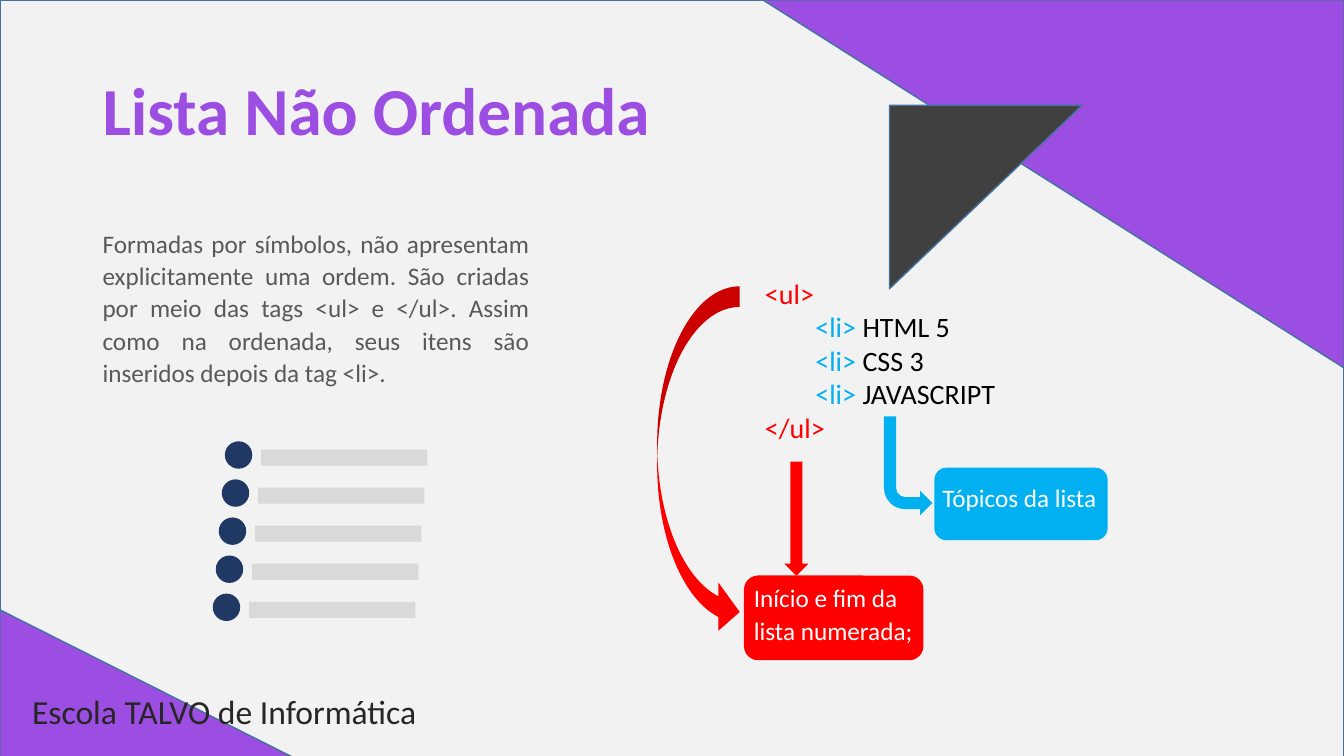
from pptx import Presentation
from pptx import util as u
from pptx.dml.color import RGBColor
from pptx.enum import shapes, text

PURPLE = RGBColor(0x9C, 0x4E, 0xE2)
PALE = RGBColor(0xF2, 0xF2, 0xF2)
CHARCOAL = RGBColor(0x40, 0x40, 0x40)
OUTLINE = RGBColor(0x43, 0x73, 0x9E)
NAVY = RGBColor(0x20, 0x38, 0x64)
SILVER = RGBColor(0xD9, 0xD9, 0xD9)
INK = RGBColor(0x26, 0x26, 0x26)
GRAY = RGBColor(0x59, 0x59, 0x59)
RED = RGBColor(0xFF, 0x00, 0x00)
BLUE = RGBColor(0x00, 0xB0, 0xF0)
BLACK = RGBColor(0x00, 0x00, 0x00)
WHITE = RGBColor(0xFF, 0xFF, 0xFF)

FONT = "Calibri"
KIND = shapes.MSO_SHAPE


def add_figure(container, kind, left, top, width, height, fill, line=None, rotation=0):
    """Add a preset shape with a flat fill and an optional outline."""
    shape = container.add_shape(kind, u.Pt(left), u.Pt(top), u.Pt(width), u.Pt(height))
    shape.shadow.inherit = False
    shape.fill.solid()
    shape.fill.fore_color.rgb = fill
    if line is None:
        shape.line.fill.background()
    else:
        shape.line.color.rgb = line
        shape.line.width = u.Pt(1)
    shape.rotation = rotation
    return shape


def add_text_box(container, left, top, width, height, wrap=True):
    """Add an empty text box and return its text frame."""
    box = container.add_textbox(u.Pt(left), u.Pt(top), u.Pt(width), u.Pt(height))
    frame = box.text_frame
    frame.word_wrap = wrap
    frame.auto_size = text.MSO_AUTO_SIZE.SHAPE_TO_FIT_TEXT
    return frame


def write(paragraph, words, size, color, bold=False, spacing=None, after=None):
    """Fill a paragraph whose runs all agree."""
    paragraph.text = words
    paragraph.font.name = FONT
    paragraph.font.size = u.Pt(size)
    paragraph.font.bold = bold
    paragraph.font.color.rgb = color
    if spacing:
        paragraph.line_spacing = spacing
    if after:
        paragraph.space_after = u.Pt(after)


def add_background(container):
    triangle = KIND.RIGHT_TRIANGLE
    add_figure(container, KIND.RECTANGLE, 0, 0, 960, 545, PALE, OUTLINE)
    add_figure(container, triangle, 0, 435.6, 216, 108.7, PURPLE, OUTLINE)
    add_figure(container, triangle, 545, 0, 415, 262.8, PURPLE, OUTLINE, 180)
    add_figure(container, triangle, 638.6, 72, 131, 137.5, CHARCOAL, OUTLINE, 90)


def add_bullet_icon(container):
    """Five dots with bars, each row shifted a little to the left."""
    rows, step, shift = 5, 27.2, 2.16
    icon = container.add_group_shape().shapes
    for row in range(rows):
        add_figure(icon, KIND.RECTANGLE, 186.5 - row * shift, 321.1 + row * step,
                   118.8, 11.5, SILVER)
    for row in range(rows):
        add_figure(icon, KIND.OVAL, 160.6 - row * shift, 315.2 + row * step,
                   19.6, 19.6, NAVY)


def add_code_list(container):
    """The tagged list, with its items set in by one tab."""
    frame = add_text_box(container, 539.3, 193.7, 239, 128.2)
    write(frame.paragraphs[0], "<ul>", 20, RED)
    for item in ("HTML 5", "CSS 3", "JAVASCRIPT"):
        paragraph = frame.add_paragraph()
        paragraph.font.name = FONT
        paragraph.font.size = u.Pt(20)
        for words, color in (("\t<li> ", BLUE), (item, BLACK)):
            run = paragraph.add_run()
            run.text = words
            run.font.name = FONT
            run.font.size = u.Pt(20)
            run.font.color.rgb = color
    write(frame.add_paragraph(), "</ul>", 20, RED)


def add_diagram(container):
    diagram = container.add_group_shape().shapes
    # Callout boxes
    add_figure(diagram, KIND.ROUNDED_RECTANGLE, 531.4, 411.1, 128.2, 60.5, RED)
    add_figure(diagram, KIND.ROUNDED_RECTANGLE, 667.4, 334.1, 123.8, 51.8, BLUE)
    add_code_list(diagram)
    frame = add_text_box(diagram, 531.4, 411.1, 143.3, 54)
    write(frame.paragraphs[0], "Início e fim da lista numerada;", 18, WHITE,
          spacing=1.07, after=8)
    # Arrows from the tags to the callouts
    add_figure(diagram, KIND.DOWN_ARROW, 560.2, 329.8, 17.3, 81.4, RED)
    bent = add_figure(diagram, KIND.BENT_ARROW, 631.4, 297.4, 34.6, 70.6, BLUE)
    bent._element.spPr.xfrm.set("flipV", "1")
    frame = add_text_box(diagram, 666, 341.3, 126, 28.8, wrap=False)
    write(frame.paragraphs[0], "Tópicos da lista", 18, WHITE)
    curved = add_figure(diagram, KIND.CURVED_RIGHT_ARROW, 469.4, 204.5, 59, 249.8, RED)
    for index, value in enumerate((0.25, 0.58, 0.257)):
        curved.adjustments[index] = value


def main():
    presentation = Presentation()
    presentation.slide_width = u.Pt(960)
    presentation.slide_height = u.Pt(540)
    slide = presentation.slides.add_slide(presentation.slide_layouts[6])
    container = slide.shapes

    add_background(container)

    # Footer
    frame = add_text_box(container, 15.8, 490.3, 330.5, 36)
    write(frame.paragraphs[0], "Escola TALVO de Informática", 24, INK)

    # Title
    frame = add_text_box(container, 66.2, 28.8, 828, 104.4)
    frame.auto_size = text.MSO_AUTO_SIZE.NONE
    frame.vertical_anchor = text.MSO_ANCHOR.MIDDLE
    write(frame.paragraphs[0], "Lista Não Ordenada", 48, PURPLE, bold=True, spacing=0.9)

    add_bullet_icon(container)

    # Explanation
    frame = add_text_box(container, 66.2, 157.7, 319, 123.8)
    write(frame.paragraphs[0],
          "Formadas por símbolos, não apresentam explicitamente uma ordem. "
          "São criadas por meio das tags <ul> e </ul>. Assim como na ordenada, "
          "seus itens são inseridos depois da tag <li>.",
          18, GRAY, spacing=1.07, after=8)
    frame.paragraphs[0].alignment = text.PP_ALIGN.JUSTIFY

    add_diagram(container)
    presentation.save("out.pptx")


if __name__ == "__main__":
    main()
